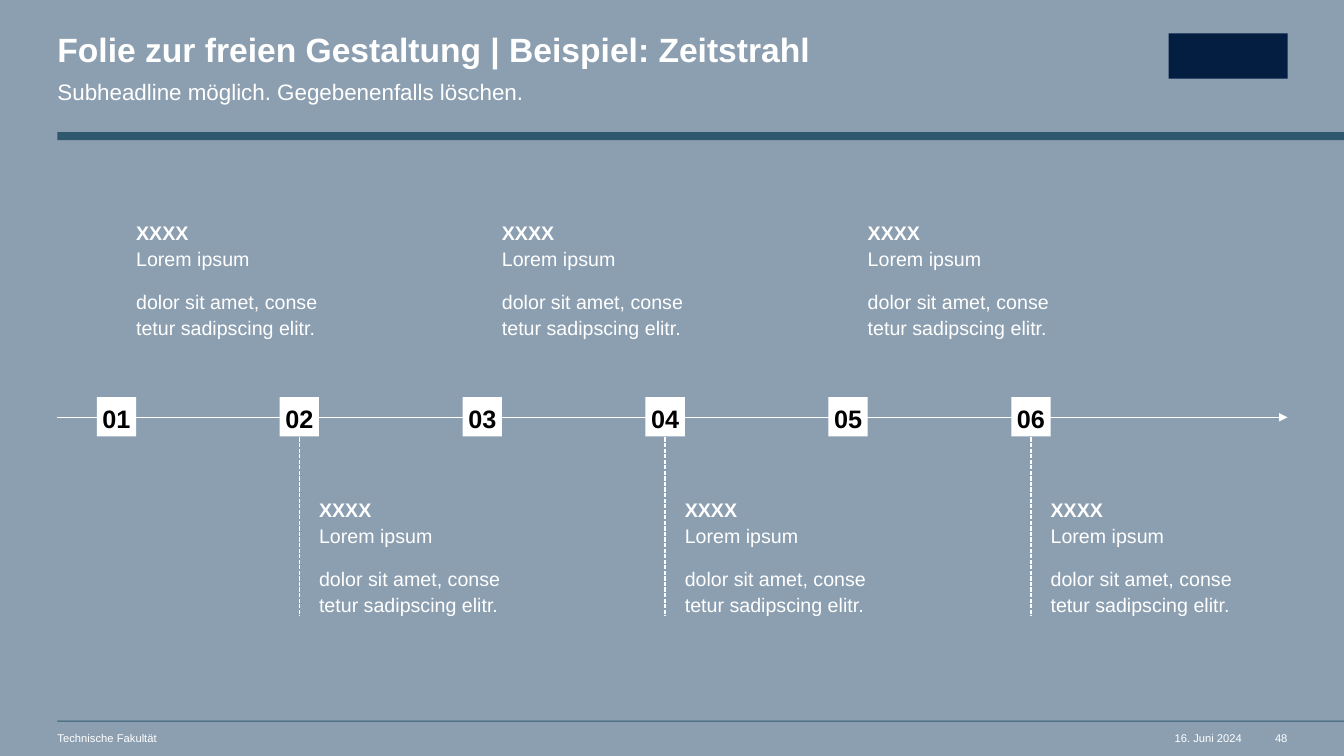
from dataclasses import dataclass

from lxml import etree
from pptx import Presentation
from pptx.dml.color import RGBColor
from pptx.enum.dml import MSO_LINE
from pptx.enum.shapes import MSO_CONNECTOR, MSO_SHAPE
from pptx.enum.text import MSO_ANCHOR, MSO_AUTO_SIZE, PP_ALIGN
from pptx.oxml.ns import qn
from pptx.slide import Slide
from pptx.util import Inches, Pt

LEFT, CENTER, RIGHT = PP_ALIGN.LEFT, PP_ALIGN.CENTER, PP_ALIGN.RIGHT
TOP, MIDDLE = MSO_ANCHOR.TOP, MSO_ANCHOR.MIDDLE
NO_AUTOFIT = MSO_AUTO_SIZE.NONE
RECTANGLE, STRAIGHT = MSO_SHAPE.RECTANGLE, MSO_CONNECTOR.STRAIGHT
DASHED = MSO_LINE.SQUARE_DOT

COLORS = {
    "background": "8C9FB1",
    "bar": "2F586E",
    "emblem": "041E42",
    "light": "FFFFFF",
    "dark": "000000",
}
MARGIN, SLIDE_WIDTH, CONTENT_RIGHT = 0.57, 13.33, 12.77
BOX_SIZE, AXIS_Y = 0.39, 4.14
BOX_TOP, BOX_BOTTOM = 3.94, 4.34
FIRST_BOX, LAST_BOX = 0.96, 10.03
UPPER_TEXT_TOP, LOWER_TEXT_TOP, STEM_LENGTH = 2.17, 4.92, 1.77
MILESTONES = ["01", "02", "03", "04", "05", "06"]
MILESTONE_TEXT = "XXXX\vLorem ipsum\ndolor sit amet, conse\vtetur sadipscing elitr."


def rgb(color):
    """Return the named colour as an RGBColor."""
    return RGBColor.from_string(COLORS[color])


@dataclass
class TimelineSlide:
    """Draw elements in one style on the current slide."""

    slide: Slide
    font: str = "Arial"

    def set_text(self, shape, text, size, color="light", bold=False, align=LEFT,
                 anchor=TOP, spacing=1.0, after=0):
        """Fill a shape with formatted text."""
        frame = shape.text_frame
        frame.text = text
        frame.word_wrap = True
        frame.auto_size = NO_AUTOFIT
        frame.vertical_anchor = anchor
        frame.margin_left = frame.margin_right = 0
        frame.margin_top = frame.margin_bottom = 0
        for paragraph in frame.paragraphs:
            paragraph.alignment = align
            paragraph.line_spacing = spacing
            paragraph.space_before = Pt(0)
            paragraph.space_after = Pt(after)
            for run in paragraph.runs:
                run.font.name = self.font
                run.font.size = Pt(size)
                run.font.bold = bold
                run.font.color.rgb = rgb(color)

    def title(self, text, left, top, width, height):
        """Place and format the title placeholder."""
        heading = self.slide.shapes.title
        heading.left, heading.top = Inches(left), Inches(top)
        heading.width, heading.height = Inches(width), Inches(height)
        self.set_text(heading, text, 24, bold=True, spacing=0.9)

    def text(self, text, left, top, width, height, size, **style):
        """Add a text box."""
        box = self.slide.shapes.add_textbox(
            Inches(left), Inches(top), Inches(width), Inches(height))
        self.set_text(box, text, size, **style)
        return box

    def rectangle(self, left, top, width, height, color):
        """Add a plain filled rectangle."""
        block = self.slide.shapes.add_shape(
            RECTANGLE, Inches(left), Inches(top), Inches(width), Inches(height))
        block.shadow.inherit = False
        block.fill.solid()
        block.fill.fore_color.rgb = rgb(color)
        block.line.fill.background()
        return block

    def line(self, x1, y1, x2, y2, color, dash=None, arrow=False):
        """Add a straight line, optionally dashed or with an arrowhead."""
        connector = self.slide.shapes.add_connector(
            STRAIGHT, Inches(x1), Inches(y1), Inches(x2), Inches(y2))
        connector.line.color.rgb = rgb(color)
        connector.line.width = Pt(1)
        if dash:
            connector.line.dash_style = dash
        properties = connector._element.spPr
        if arrow:
            outline = properties.find(qn("a:ln"))
            etree.SubElement(outline, qn("a:tailEnd"), type="triangle")
        etree.SubElement(properties, qn("a:effectLst"))

    def milestone(self, number, left, above):
        """Add a numbered box with its text and stem."""
        box = self.rectangle(left, BOX_TOP, BOX_SIZE, BOX_SIZE, "light")
        self.set_text(box, number, 18, "dark", bold=True, align=CENTER,
                      anchor=MIDDLE, spacing=1.1, after=12)
        text_top = UPPER_TEXT_TOP if above else LOWER_TEXT_TOP
        description = self.text(MILESTONE_TEXT, left + BOX_SIZE, text_top,
                                1.95, 1.18, 14, spacing=1.1, after=12)
        description.text_frame.paragraphs[0].runs[0].font.bold = True
        stem_x = left + BOX_SIZE / 2
        stem_top = UPPER_TEXT_TOP if above else BOX_BOTTOM
        stem_color = "background" if above else "light"
        self.line(stem_x, stem_top, stem_x, stem_top + STEM_LENGTH,
                  stem_color, dash=DASHED)


def main():
    """Build and save the timeline slide."""
    presentation = Presentation()
    presentation.slide_width = Inches(SLIDE_WIDTH)
    presentation.slide_height = Inches(7.5)
    slide = presentation.slides.add_slide(presentation.slide_layouts[5])
    slide.background.fill.solid()
    slide.background.fill.fore_color.rgb = rgb("background")
    timeline = TimelineSlide(slide)

    bar_width = SLIDE_WIDTH - MARGIN
    timeline.rectangle(MARGIN, 7.15, bar_width, 0.01, "bar")
    timeline.rectangle(MARGIN, 1.31, bar_width, 0.08, "bar")
    timeline.rectangle(11.59, 0.33, 1.18, 0.45, "emblem")

    timeline.title("Folie zur freien Gestaltung | Beispiel: Zeitstrahl",
                   MARGIN, 0.33, 7.49, 0.36)
    timeline.text("Subheadline möglich. Gegebenenfalls löschen.",
                  MARGIN, 0.75, 7.49, 0.27, 16, spacing=1.1, after=12)
    timeline.text("Technische Fakultät", MARGIN, 7.26, 5.98, 0.13, 8)
    timeline.text("16. Juni 2024", 11.32, 7.26, 1, 0.13, 8, align=RIGHT)
    timeline.text("48", 12.47, 7.26, 0.3, 0.13, 8, align=RIGHT)

    timeline.line(MARGIN, AXIS_Y, CONTENT_RIGHT, AXIS_Y, "light", arrow=True)
    step = (LAST_BOX - FIRST_BOX) / (len(MILESTONES) - 1)
    for index, number in enumerate(MILESTONES):
        timeline.milestone(number, FIRST_BOX + index * step, index % 2 == 0)

    presentation.save("out.pptx")


if __name__ == "__main__":
    main()
